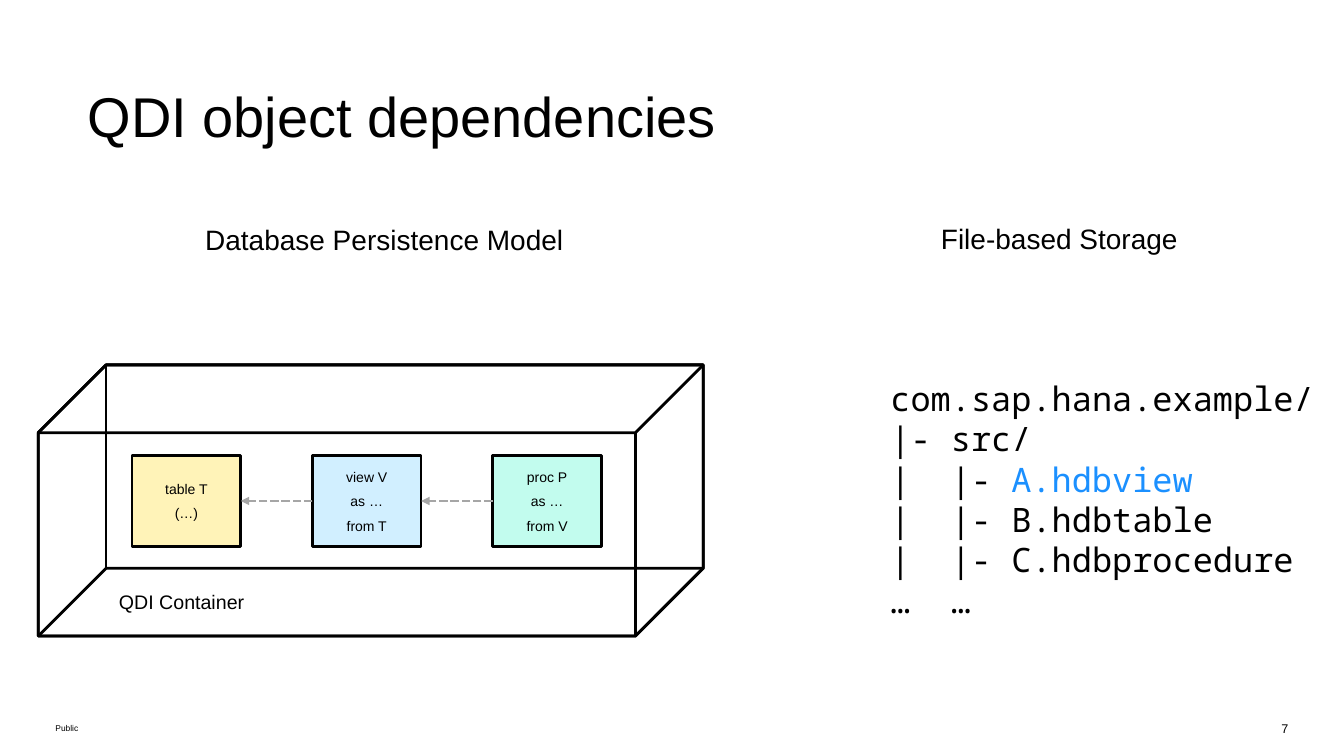
import pptx
import pptx.util
import pptx.dml.color
import pptx.enum.dml
import pptx.enum.shapes
import pptx.enum.text
import pptx.oxml.ns
from lxml import etree

Inches, Pt = pptx.util.Inches, pptx.util.Pt
ALIGN = pptx.enum.text.PP_ALIGN
ANCHOR = pptx.enum.text.MSO_ANCHOR
SHAPE = pptx.enum.shapes.MSO_SHAPE

COLORS = {"ink": "000000", "accent": "1B90FF", "arrow": "A6A6A6",
          "table": "FFF3B8", "view": "D1EFFF", "proc": "C2FCEE"}

TITLE = "QDI object dependencies"
CONTAINER_LABEL = "QDI Container"
HEADINGS = [("Database Persistence Model", (1.31, 2.21, 5.01, 0.34)),
            ("File-based Storage", (8.42, 2.2, 4.19, 0.34))]
DB_OBJECTS = [("table", ["table T", "(…)"]),
              ("view", ["view V", "as …", "from T"]),
              ("proc", ["proc P", "as …", "from V"])]
# Each line is a list of (text, colour) runs.
FILE_TREE = [[("com.sap.hana.example/", "ink")],
             [("|- src/", "ink")],
             [("|  |- ", "ink"), ("A.hdbview", "accent")],
             [("|  |- B.hdbtable", "ink")],
             [("|  |- C.hdbprocedure", "ink")],
             [("…  …", "ink")]]

CONTAINER = (0.38, 3.62, 6.6, 2.69)
BOX_LEFT, BOX_TOP, BOX_W, BOX_H, BOX_STEP = 1.31, 4.52, 1.08, 0.9, 1.79


def rgb(name):
    return pptx.dml.color.RGBColor.from_string(COLORS[name])


def inches(at):
    return [Inches(v) for v in at]


def write(shape, lines, size, font="Arial", align=ALIGN.LEFT,
          anchor=ANCHOR.TOP, gap=0, wrap=True, inset=0):
    """Fill a shape with lines, each a string or a list of (text, colour)."""
    tf = shape.text_frame
    tf.word_wrap = wrap
    tf.auto_size = pptx.enum.text.MSO_AUTO_SIZE.NONE
    tf.vertical_anchor = anchor
    tf.margin_left = tf.margin_right = Inches(inset)
    tf.margin_top = tf.margin_bottom = Inches(inset / 2)
    for i, line in enumerate(lines):
        p = tf.add_paragraph() if i else tf.paragraphs[0]
        p.alignment = align
        p.space_before = Pt(gap if i else 0)
        for text, color in [(line, "ink")] if isinstance(line, str) else line:
            r = p.add_run()
            r.text = text
            r.font.size, r.font.name = Pt(size), font
            r.font.color.rgb = rgb(color)


def add_text(s, at, lines, size, **fmt):
    write(s.shapes.add_textbox(*inches(at)), lines, size, **fmt)


def add_outlined(s, kind, at, fill=None):
    sp = s.shapes.add_shape(kind, *inches(at))
    sp.shadow.inherit = False
    if fill:
        sp.fill.solid()
        sp.fill.fore_color.rgb = rgb(fill)
    else:
        sp.fill.background()
    sp.line.color.rgb = rgb("ink")
    sp.line.width = Pt(2)
    return sp


def add_dependency(s, user, used):
    """Dashed arrow from the left of user to the right of used."""
    c = s.shapes.add_connector(pptx.enum.shapes.MSO_CONNECTOR.STRAIGHT, 0, 0, 0, 0)
    c.begin_connect(user, 1)
    c.end_connect(used, 3)
    c.line.color.rgb = rgb("arrow")
    c.line.width = Pt(2)
    c.line.dash_style = pptx.enum.dml.MSO_LINE.SQUARE_DOT
    qn = pptx.oxml.ns.qn
    sp_pr = c.line._get_or_add_ln().getparent()
    etree.SubElement(sp_pr.find(qn("a:ln")), qn("a:tailEnd"), type="triangle")
    etree.SubElement(sp_pr, qn("a:effectLst"))


def main():
    prs = pptx.Presentation()
    prs.slide_width, prs.slide_height = Inches(13.34), Inches(7.5)
    s = prs.slides.add_slide(prs.slide_layouts[5])

    title = s.shapes.title
    title.left, title.top, title.width, title.height = inches((0.87, 0.81, 12.23, 0.67))
    write(title, [TITLE], 40)

    for text, at in HEADINGS:
        add_text(s, at, [text], 20, align=ALIGN.CENTER)
    add_text(s, (8.74, 3.7, 4.6, 2.52), FILE_TREE, 24,
             font="Noto Sans Mono", wrap=False, inset=0.1)

    # Two cubes, one turned half round, give a see-through container.
    for angle in (0, 180):
        add_outlined(s, SHAPE.CUBE, CONTAINER).rotation = angle
    add_text(s, (1.18, 5.85, 2.18, 0.24), [CONTAINER_LABEL], 14)

    boxes = []
    for i, (fill, lines) in enumerate(DB_OBJECTS):
        at = (BOX_LEFT + i * BOX_STEP, BOX_TOP, BOX_W, BOX_H)
        box = add_outlined(s, SHAPE.RECTANGLE, at, fill)
        write(box, lines, 10, align=ALIGN.CENTER, anchor=ANCHOR.MIDDLE, gap=5.5)
        boxes.append(box)
    for used, user in zip(boxes, boxes[1:]):
        add_dependency(s, user, used)

    add_text(s, (0.55, 7.15, 11.11, 0.15), ["Public"], 6, anchor=ANCHOR.MIDDLE)
    add_text(s, (12.63, 7.15, 0.16, 0.15), ["7"], 9, align=ALIGN.RIGHT, wrap=False)
    prs.save("out.pptx")


if __name__ == "__main__":
    main()
